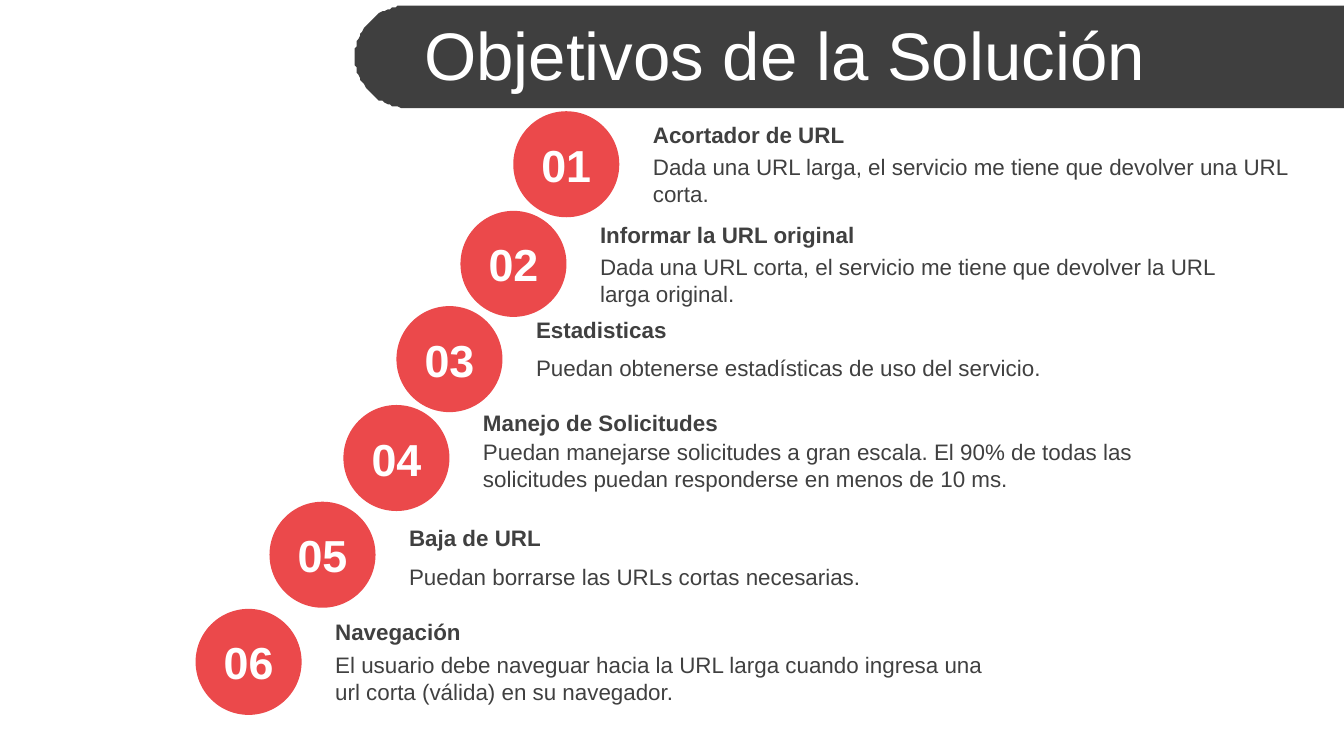
import math
import pptx
import pptx.dml.color
import pptx.enum.shapes
import pptx.enum.text
import pptx.util

Pt = pptx.util.Pt
Color = pptx.dml.color.RGBColor.from_string
Align = pptx.enum.text.PP_ALIGN

theme = {
    "font": "Arial",
    "banner": Color("3F3F3F"),
    "circle": Color("EB494B"),
    "title": {"size": Pt(36), "bold": False, "color": Color("FFFFFF")},
    "number": {"size": Pt(24), "bold": True, "color": Color("FFFFFF")},
    "heading": {"size": Pt(12), "bold": True, "color": Color("404040")},
    "body": {"size": Pt(12), "bold": False, "color": Color("404040")},
}

deck = pptx.Presentation()
deck.slide_width, deck.slide_height = Pt(720), Pt(405)
page = deck.slides.add_slide(deck.slide_layouts[6])


def add_text(words, style, left, top, width, height, alignment=Align.LEFT):
    box = page.shapes.add_textbox(Pt(left), Pt(top), Pt(width), Pt(height))
    box.text_frame.word_wrap = True
    box.text_frame.vertical_anchor = pptx.enum.text.MSO_ANCHOR.MIDDLE
    para = box.text_frame.paragraphs[0]
    para.alignment = alignment
    span = para.add_run()
    span.text = words
    span.font.name = theme["font"]
    for name, value in theme[style].items():
        if name == "color":
            span.font.color.rgb = value
        else:
            setattr(span.font, name, value)


def paint(shape, color):
    shape.shadow.inherit = False
    shape.fill.solid()
    shape.fill.fore_color.rgb = color
    shape.line.fill.background()


banner_left, banner_top, banner_bottom = 190, 2.8, 58
cap_width = 29.5
cap_height = (banner_bottom - banner_top) / 2
cap_middle = banner_top + cap_height
cap_points = []
for degrees in range(90, 271, 3):
    angle = math.radians(degrees)
    cap_points.append((banner_left + cap_width * (1 + math.cos(angle)),
                       cap_middle + cap_height * math.sin(angle)))
outline = page.shapes.build_freeform(720, banner_top, scale=Pt(1))
outline.add_line_segments([(720, banner_bottom)] + cap_points)
paint(outline.convert_to_shape(), theme["banner"])
add_text("Objetivos de la Solución", "title", 220.3, 5.8, 499.7, 45.4)

diameter = 56.8
text_offset = 67.7
text_width = 363
line_height, two_line_height = 21.8, 36.3

goals = [
    (275, 59.6, 61.2, 78.5, two_line_height, "Acortador de URL",
     "Dada una URL larga, el servicio me tiene que devolver una URL corta."),
    (246.7, 113, 114.5, 131.8, two_line_height, "Informar la URL original",
     "Dada una URL corta, el servicio me tiene que devolver la URL larga original."),
    (212.4, 164, 165.6, 185.8, line_height, "Estadisticas",
     "Puedan obtenerse estadísticas de uso del servicio."),
    (184, 217, 215.3, 231.1, two_line_height, "Manejo de Solicitudes",
     "Puedan manejarse solicitudes a gran escala. El 90% de todas las "
     "solicitudes puedan responderse en menos de 10 ms."),
    (144.4, 268.8, 277.2, 298.1, line_height, "Baja de URL",
     "Puedan borrarse las URLs cortas necesarias."),
    (104.8, 326.2, 327.6, 344.9, two_line_height, "Navegación",
     "El usuario debe naveguar hacia la URL larga cuando ingresa una "
     "url corta (válida) en su navegador."),
]

for order, goal in enumerate(goals, start=1):
    left, top, heading_top, body_top, body_height, heading, body = goal
    circle = page.shapes.add_shape(pptx.enum.shapes.MSO_SHAPE.OVAL,
                                   Pt(left), Pt(top), Pt(diameter), Pt(diameter))
    paint(circle, theme["circle"])
    number_top = top + (diameter - two_line_height) / 2
    add_text(f"{order:02}", "number", left, number_top, diameter, two_line_height,
             Align.CENTER)
    text_left = left + text_offset
    add_text(body, "body", text_left, body_top, text_width, body_height)
    add_text(heading, "heading", text_left, heading_top, text_width, line_height)

deck.save("out.pptx")
